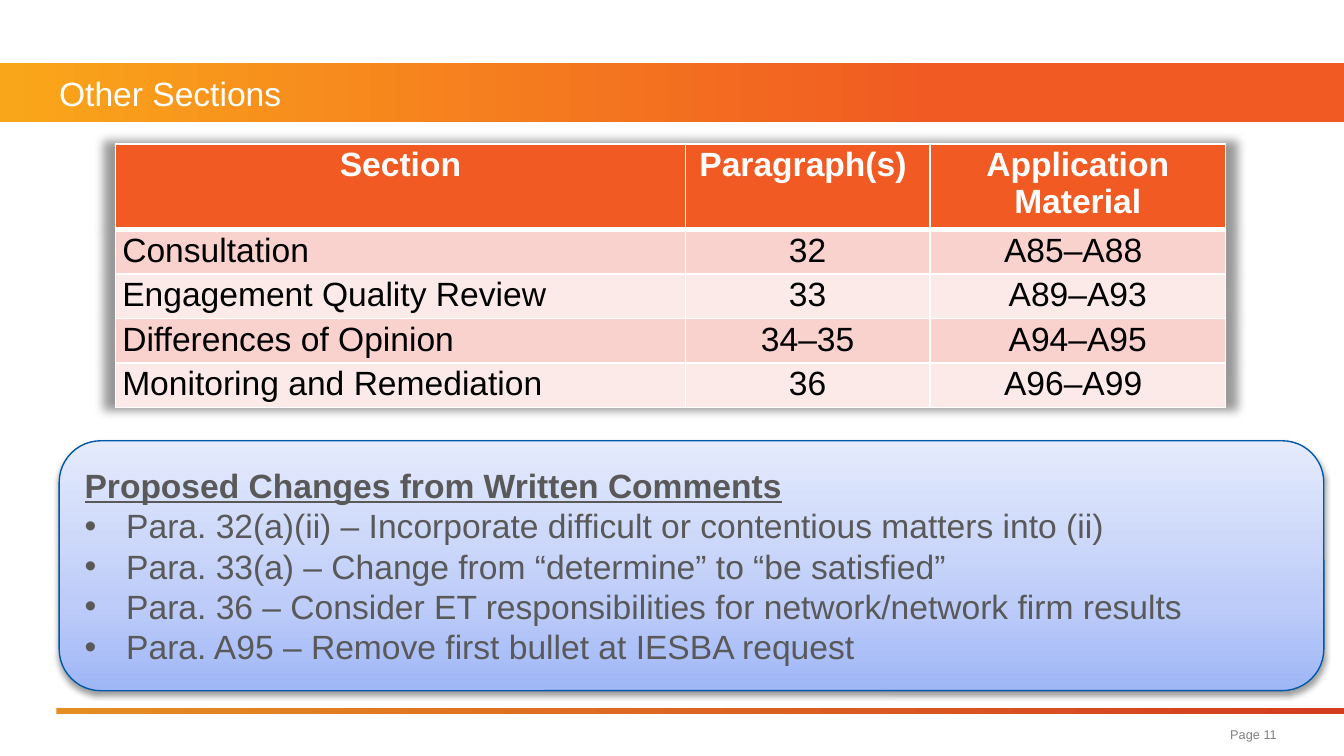
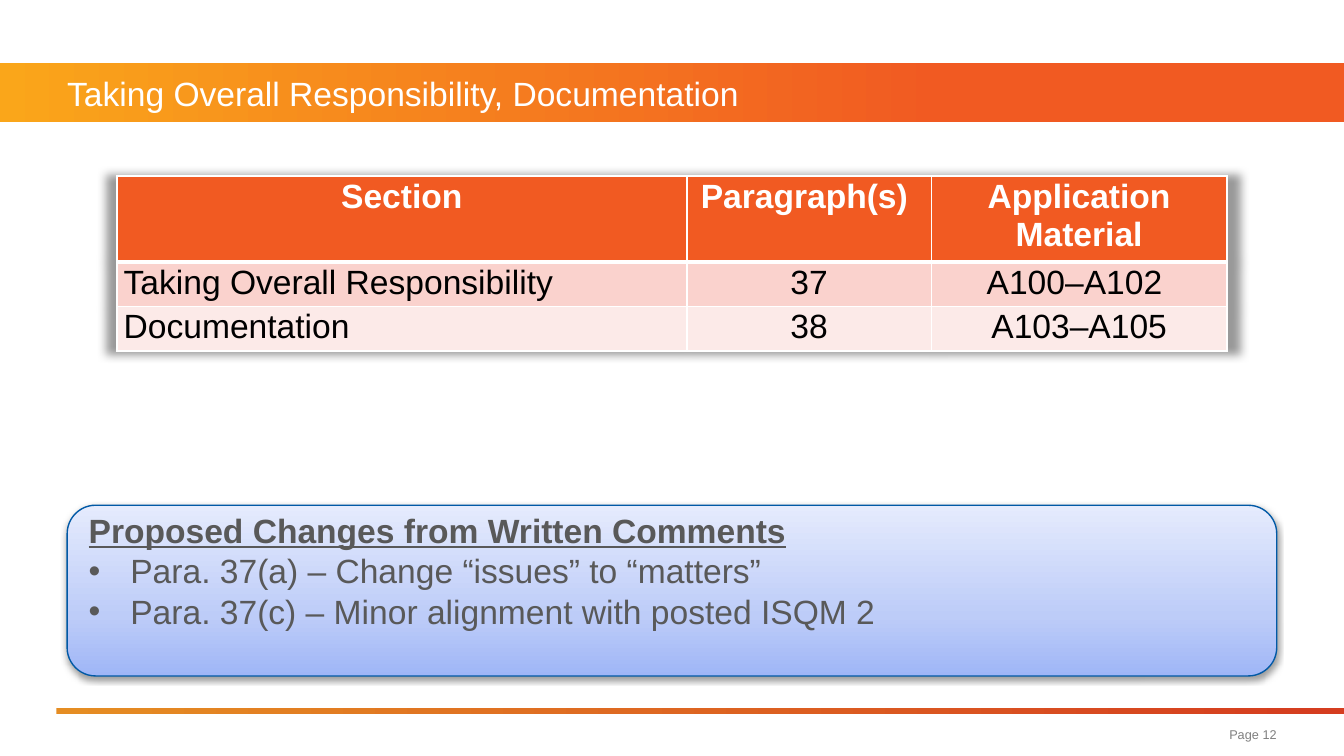
import pptx
import pptx.dml.color
import pptx.enum.shapes
import pptx.enum.text
import pptx.oxml.ns
import pptx.util
from lxml import etree

Inches = pptx.util.Inches
Pt = pptx.util.Pt
RGB = pptx.dml.color.RGBColor.from_string
qn = pptx.oxml.ns.qn
ALIGN = pptx.enum.text.PP_ALIGN
ANCHOR = pptx.enum.text.MSO_ANCHOR
PRESET = pptx.enum.shapes.MSO_SHAPE

THEME = {
    "font": "Arial",
    "body_size": 18,
    "page_size": 6.8,
    "white": "FFFFFF",
    "black": "000000",
    "orange": "F15A22",
    "comment_text": "595959",
    "page_text": "808080",
    "comment_line": "0059A6",
    "row_fills": ["FAD2CD", "FCEAE8"],
    "title_band": [(0, "FAA61A"), (70, "F15A22")],
    "footer_rule": [(0, "E58D23"), (99, "D53D20"), (100, "D53D20")],
    "comment_fill": [(0, "9FB6F7"), (35, "BDCCF8"), (100, "E5EBFD")],
}

HEADINGS = ("Section", "Paragraph(s) ", "Application Material")
COLUMN_WIDTHS = (4.24, 1.82, 2.2)
HEADING_HEIGHT, ROW_HEIGHT, ROW_ALLOWANCE = 0.64, 0.26, 0.35
COMMENTS_HEADING = "Proposed Changes from Written Comments"
BULLET_INDENT = 0.31

SLIDES = [
    {
        "title": "Other Sections",
        "page": "Page 11",
        "margin": 0.44,
        "table_at": (0.86, 1.07),
        "sections": [
            ("Consultation", "32", "A85–A88 "),
            ("Engagement Quality Review", "33", "A89–A93"),
            ("Differences of Opinion", "34–35", "A94–A95"),
            ("Monitoring and Remediation", "36", "A96–A99 "),
        ],
        "comments_box": (0.44, 3.28, 9.41, 1.86),
        "comments_bottom": 0.05,
        "comments": [
            "Para. 32(a)(ii) – Incorporate difficult or contentious matters into (ii)",
            "Para. 33(a) – Change from “determine” to “be satisfied”",
            "Para. 36 – Consider ET responsibilities for network/network firm results",
            "Para. A95 – Remove first bullet at IESBA request",
        ],
    },
    {
        "title": "Taking Overall Responsibility, Documentation",
        "page": "Page 12",
        "margin": 0.5,
        "table_at": (0.87, 1.31),
        "sections": [
            ("Taking Overall Responsibility", "37", "A100–A102 "),
            ("Documentation", "38", "A103–A105"),
        ],
        "comments_box": (0.5, 3.76, 9, 1.27),
        "comments_bottom": 0.35,
        "comments": [
            "Para. 37(a) – Change “issues” to “matters”",
            "Para. 37(c) – Minor alignment with posted ISQM 2",
        ],
    },
]


def set_values(target, values):
    for name, value in values.items():
        setattr(target, name, value)


def write(paragraph, text, color, size=THEME["body_size"], align=ALIGN.LEFT, **font_values):
    paragraph.alignment = align
    run = paragraph.add_run()
    run.text = text
    set_values(run.font, {"name": THEME["font"], "size": Pt(size), **font_values})
    run.font.color.rgb = RGB(THEME[color])


def add_xml(parent, tag, **attributes):
    return etree.SubElement(parent, qn(tag), {k: str(v) for k, v in attributes.items()})


def add_shadow(effects, opacity, **attributes):
    shadow = add_xml(effects, "a:outerShdw", **attributes, rotWithShape=0)
    color = add_xml(shadow, "a:srgbClr", val=THEME["black"])
    add_xml(color, "a:alpha", val=opacity * 1000)


def add_gradient_shape(slide, preset, box, stops, angle=0):
    shape = slide.shapes.add_shape(preset, *map(Inches, box))
    shape.shadow.inherit = False
    shape.line.fill.background()
    shape.fill.gradient()
    shape.fill.gradient_angle = angle
    stop_list = shape._element.spPr.find(".//" + qn("a:gsLst"))
    for stop in list(stop_list):
        stop_list.remove(stop)
    for position, color in stops:
        stop = add_xml(stop_list, "a:gs", pos=position * 1000)
        add_xml(stop, "a:srgbClr", val=color)
    return shape


def add_label(slide, box, text, color, **text_values):
    frame = slide.shapes.add_textbox(*map(Inches, box)).text_frame
    set_values(frame, {"word_wrap": True, "vertical_anchor": ANCHOR.MIDDLE,
                       "margin_left": 0, "margin_right": 0,
                       "margin_top": 0, "margin_bottom": 0})
    write(frame.paragraphs[0], text, color, **text_values)


def add_page_frame(slide, title, page, margin):
    """Add the title band, footer rule, title and page number."""
    add_gradient_shape(slide, PRESET.RECTANGLE, (0, 0.47, 10, 0.44), THEME["title_band"])
    add_gradient_shape(slide, PRESET.RECTANGLE, (0.42, 5.27, 9.58, 0.04), THEME["footer_rule"])
    add_label(slide, (margin, 0.47, 10 - margin, 0.44), title, "white")
    add_label(slide, (6.48, 5.34, 3.02, 0.25), page, "page_text",
              size=THEME["page_size"], align=ALIGN.RIGHT)


def set_borders(cell, widths):
    properties = cell._tc.get_or_add_tcPr()
    for position, (side, width) in enumerate(widths.items()):
        border = add_xml(properties, f"a:ln{side}", w=Pt(width))
        add_xml(add_xml(border, "a:solidFill"), "a:srgbClr", val=THEME["white"])
        properties.insert(position, border)


def add_sections_table(slide, place, sections):
    rows = [HEADINGS, *sections]
    height = HEADING_HEIGHT + ROW_ALLOWANCE * len(sections)
    frame = slide.shapes.add_table(len(rows), len(HEADINGS), *map(
        Inches, (*place, sum(COLUMN_WIDTHS), height)))
    table = frame.table
    table.horz_banding = False
    for column, width in zip(table.columns, COLUMN_WIDTHS):
        column.width = Inches(width)
    for r, row in enumerate(rows):
        heading = r == 0
        table.rows[r].height = Inches(HEADING_HEIGHT if heading else ROW_HEIGHT)
        fill = THEME["orange"] if heading else THEME["row_fills"][(r - 1) % 2]
        for c, text in enumerate(row):
            cell = table.cell(r, c)
            set_values(cell, {"margin_left": Inches(0.05), "margin_right": Inches(0.05),
                              "margin_top": Pt(1.1), "margin_bottom": Pt(1.1)})
            cell.fill.solid()
            cell.fill.fore_color.rgb = RGB(fill)
            set_borders(cell, {"L": 1, "R": 1, "T": 3 if r == 1 else 1, "B": 3 if heading else 1})
            write(cell.text_frame.paragraphs[0], text, "white" if heading else "black",
                  align=ALIGN.CENTER if heading or c else ALIGN.LEFT, bold=heading)
    frame.height = Inches(height)
    effects = add_xml(table._tbl.tblPr, "a:effectLst")
    table._tbl.tblPr.insert(0, effects)
    add_shadow(effects, 40, blurRad=Pt(5), sx=102000, sy=102000, algn="ctr")


def add_comments(slide, box, bottom, comments):
    panel = add_gradient_shape(slide, PRESET.ROUNDED_RECTANGLE, box, THEME["comment_fill"], 90)
    panel.line.color.rgb = RGB(THEME["comment_line"])
    panel.line.width = Pt(0.75)
    add_shadow(panel._element.spPr.find(qn("a:effectLst")), 38,
               blurRad=Pt(3.1), dist=Pt(1.6), dir=90 * 60000)
    frame = panel.text_frame
    set_values(frame, {"word_wrap": True, "vertical_anchor": ANCHOR.MIDDLE,
                       "margin_bottom": Inches(bottom)})
    write(frame.paragraphs[0], COMMENTS_HEADING, "comment_text", bold=True, underline=True)
    for comment in comments:
        paragraph = frame.add_paragraph()
        properties = paragraph._p.get_or_add_pPr()
        properties.set("marL", str(Inches(BULLET_INDENT)))
        properties.set("indent", str(-Inches(BULLET_INDENT)))
        add_xml(properties, "a:buFont", typeface=THEME["font"])
        add_xml(properties, "a:buChar", char="•")
        write(paragraph, comment, "comment_text", bold=False, underline=False)


def main():
    deck = pptx.Presentation()
    deck.slide_width = Inches(10)
    deck.slide_height = deck.slide_width * 9 // 16
    for content in SLIDES:
        slide = deck.slides.add_slide(deck.slide_layouts[6])
        add_page_frame(slide, content["title"], content["page"], content["margin"])
        add_sections_table(slide, content["table_at"], content["sections"])
        add_comments(slide, content["comments_box"], content["comments_bottom"],
                     content["comments"])
    deck.save("out.pptx")


if __name__ == "__main__":
    main()
